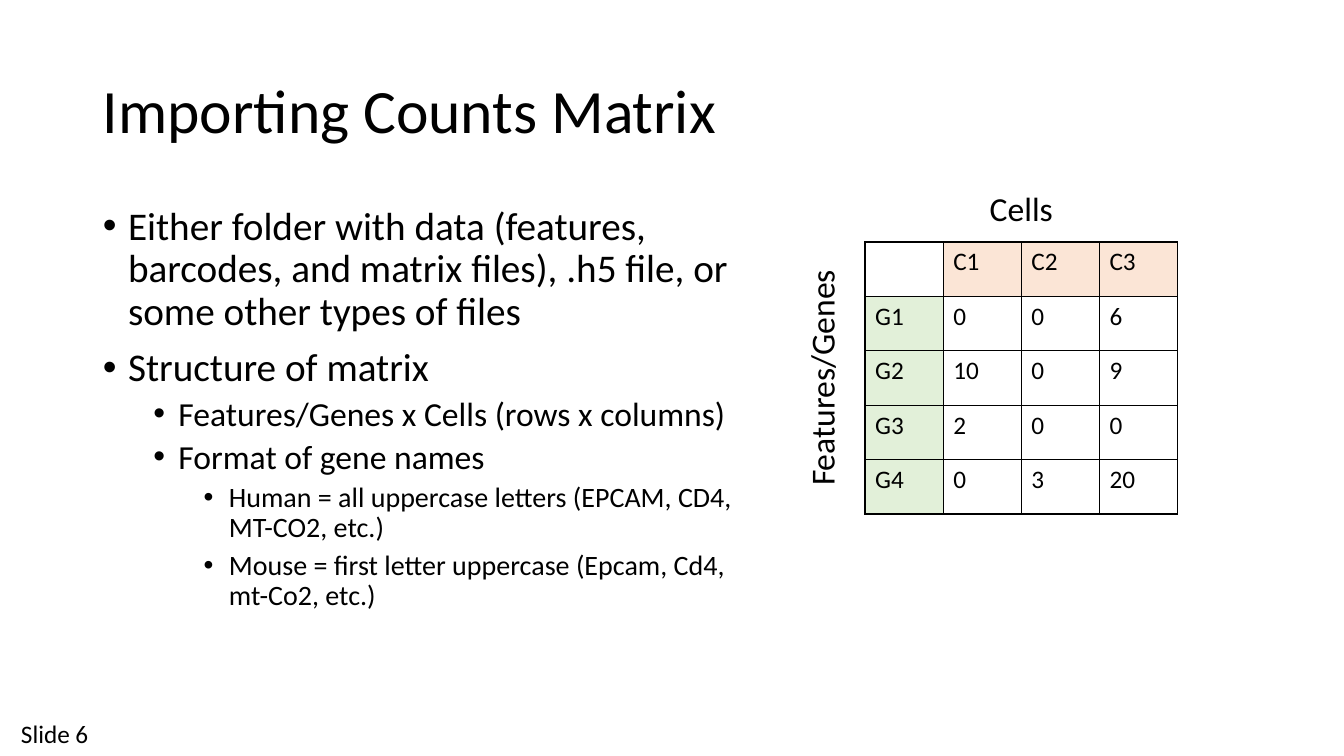
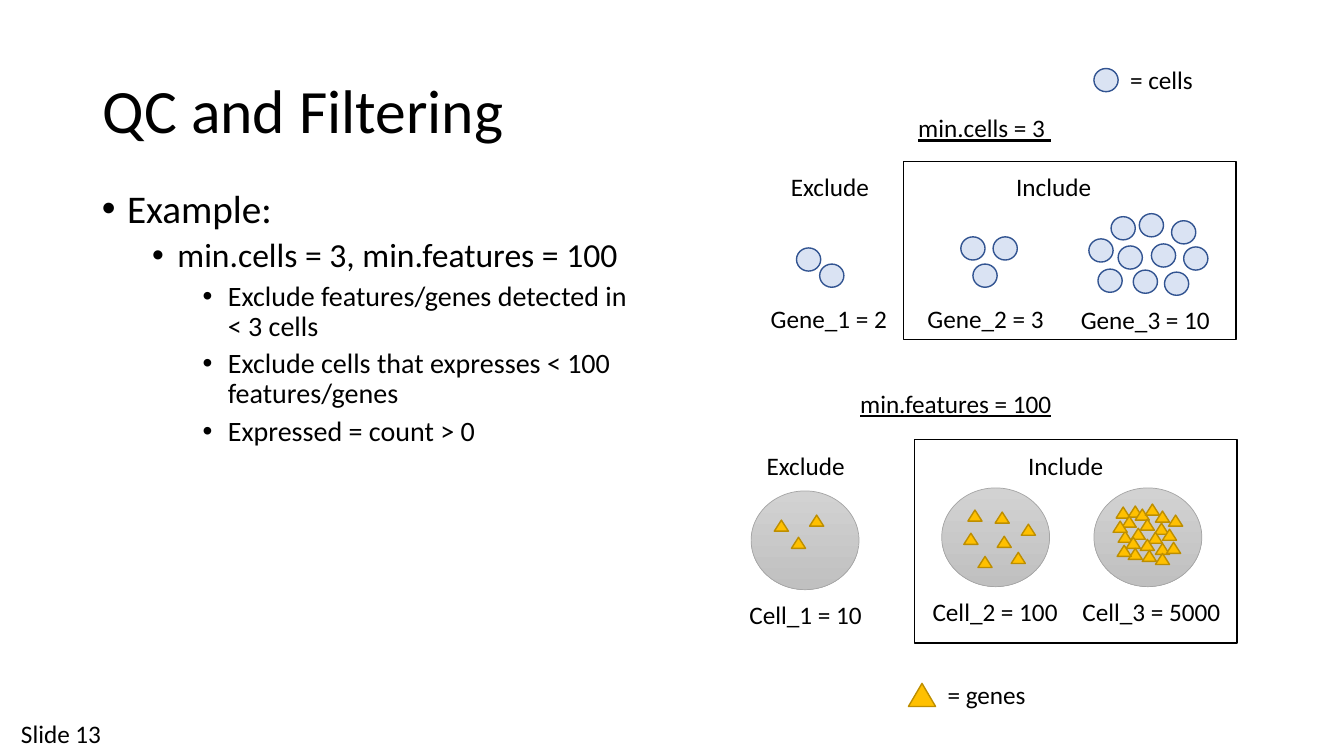
from dataclasses import dataclass

from lxml import etree
from pptx import Presentation
from pptx.dml.color import RGBColor
from pptx.enum.shapes import MSO_SHAPE
from pptx.enum.text import MSO_ANCHOR, MSO_AUTO_SIZE, PP_ALIGN
from pptx.oxml.ns import qn
from pptx.util import Inches, Pt

LEFT, CENTER = PP_ALIGN.LEFT, PP_ALIGN.CENTER
TOP, MIDDLE = MSO_ANCHOR.TOP, MSO_ANCHOR.MIDDLE
NO_AUTOFIT = MSO_AUTO_SIZE.NONE
OVAL, TRIANGLE, FRAME = MSO_SHAPE.OVAL, MSO_SHAPE.ISOSCELES_TRIANGLE, MSO_SHAPE.RECTANGLE


@dataclass(frozen=True)
class Theme:
    font: str = "Calibri"
    black: str = "000000"
    white: str = "FFFFFF"
    header_fill: str = "FBE5D6"
    gene_fill: str = "E2F0D9"
    dot_fill: str = "DAE3F3"
    dot_line: str = "325491"
    marker_fill: str = "FFC000"
    marker_line: str = "BD8E00"
    cell_light: str = "D2D2D2"
    cell_dark: str = "C0C0C0"
    cell_line: str = "A5A5A5"
    title_size: int = 44
    level_sizes: tuple = (28, 24, 20)
    axis_size: int = 24
    label_size: int = 18


theme = Theme()


def write(frame, lines, size, align=LEFT, underline=None):
    """Fill a text frame with lines in the theme font and return its paragraphs."""
    frame.text = "\n".join(lines)
    for paragraph in frame.paragraphs:
        paragraph.alignment = align
        look = {"name": theme.font, "size": Pt(size), "underline": underline}
        for run in paragraph.runs:
            for attribute, value in look.items():
                setattr(run.font, attribute, value)
            run.font.color.rgb = RGBColor.from_string(theme.black)
    return frame.paragraphs


def draw(slide, kind, box, fill, line, width=1):
    """Add a preset shape; a fill of None leaves it hollow."""
    shape = slide.shapes.add_shape(kind, *map(Inches, box))
    shape.shadow.inherit = False
    if fill is None:
        shape.fill.background()
    else:
        shape.fill.solid()
        shape.fill.fore_color.rgb = RGBColor.from_string(fill)
    shape.line.color.rgb = RGBColor.from_string(line)
    shape.line.width = Pt(width)
    return shape


prs = Presentation()
prs.slide_width, prs.slide_height = Inches(13.33), Inches(7.5)

# Title, bullets and slide label
pages = [
    ("Importing Counts Matrix", "Slide 6", (0.92, 2, 6.78, 4.76), [
        (0, "Either folder with data (features, barcodes, and matrix files), "
            ".h5 file, or some other types of files"),
        (0, "Structure of matrix"),
        (1, "Features/Genes x Cells (rows x columns)"),
        (1, "Format of gene names"),
        (2, "Human = all uppercase letters (EPCAM, CD4, MT-CO2, etc.)"),
        (2, "Mouse = first letter uppercase (Epcam, Cd4, mt-Co2, etc.)"),
    ]),
    ("QC and Filtering", "Slide 13", (0.91, 1.83, 5.47, 4.76), [
        (0, "Example:"),
        (1, "min.cells = 3, min.features = 100"),
        (2, "Exclude features/genes detected in < 3 cells"),
        (2, "Exclude cells that expresses < 100 features/genes"),
        (2, "Expressed = count > 0"),
    ]),
]
labels = []
for title, slide_label, body_box, bullets in pages:
    slide = prs.slides.add_slide(prs.slide_layouts[1])
    heading, body = slide.placeholders
    for holder, box, anchor in ((heading, (0.92, 0.4, 11.5, 1.45), MIDDLE),
                                (body, body_box, TOP)):
        holder.left, holder.top, holder.width, holder.height = map(Inches, box)
        holder.text_frame.vertical_anchor = anchor
        holder.text_frame.auto_size = NO_AUTOFIT
    write(heading.text_frame, [title], theme.title_size)[0].line_spacing = 0.9
    paragraphs = write(body.text_frame, [text for _, text in bullets], theme.level_sizes[0])
    for paragraph, (level, _) in zip(paragraphs, bullets):
        layout = {"level": level, "line_spacing": 0.9, "space_before": Pt(5 if level else 10)}
        for attribute, value in layout.items():
            setattr(paragraph, attribute, value)
        paragraph.runs[0].font.size = Pt(theme.level_sizes[level])
        properties = paragraph._p.get_or_add_pPr()
        properties.set("marL", str(Inches(0.25 + 0.5 * level)))
        properties.set("indent", str(Inches(-0.25)))
        etree.SubElement(properties, qn("a:buFont")).set("typeface", "Arial")
        etree.SubElement(properties, qn("a:buChar")).set("char", "•")
    labels.append((slide, slide_label, (0.11, 7.08, 1.13, 0.4), theme.label_size, LEFT, None, 0))

matrix_slide, filter_slide = prs.slides

# Counts matrix
counts = [
    ["", "C1", "C2", "C3"],
    ["G1", "0", "0", "6"],
    ["G2", "10", "0", "9"],
    ["G3", "2", "0", "0"],
    ["G4", "0", "3", "20"],
]
matrix = matrix_slide.shapes.add_table(
    len(counts), len(counts[0]), *map(Inches, (8.58, 2.4, 3.1, 2.7))).table
matrix.first_row = matrix.horz_banding = False
for r, row in enumerate(counts):
    for c, count in enumerate(row):
        cell = matrix.cell(r, c)
        write(cell.text_frame, [count], theme.label_size)
        cell_fill = theme.white
        if r == 0 and c > 0:
            cell_fill = theme.header_fill
        elif c == 0 and r > 0:
            cell_fill = theme.gene_fill
        borders = cell._tc.get_or_add_tcPr()
        for side in ("a:lnL", "a:lnR", "a:lnT", "a:lnB"):
            border = etree.SubElement(borders, qn(side), w=str(Pt(1)))
            paint = etree.SubElement(border, qn("a:solidFill"))
            etree.SubElement(paint, qn("a:srgbClr"), val=theme.black)
        cell.fill.solid()
        cell.fill.fore_color.rgb = RGBColor.from_string(cell_fill)

labels += [
    (matrix_slide, "Cells", (9.55, 1.82, 1.16, 0.5), theme.axis_size, CENTER, None, 0),
    (matrix_slide, "Features/Genes", (6.92, 3.5, 2.45, 0.5), theme.axis_size, CENTER, None, 270),
]

# Cells that express each gene, with the legend's dot last
cell_dots = [
    (7.9, 2.46), (8.13, 2.62),
    (9.53, 2.35), (9.65, 2.62), (9.85, 2.35),
    (10.8, 2.37), (10.89, 2.67), (11.09, 2.44), (11.24, 2.68), (11.55, 2.7),
    (11.62, 2.19), (11.02, 2.15), (11.42, 2.42), (11.3, 2.12), (11.74, 2.45),
    (10.85, 0.68),
]
for x, y in cell_dots:
    draw(filter_slide, OVAL, (x, y, 0.24, 0.23), theme.dot_fill, theme.dot_line)

# Genes expressed in each cell
gene_markers = {
    (7.45, 4.87): [(7.68, 5.16), (8.03, 5.11), (7.85, 5.33)],
    (9.34, 4.84): [
        (9.6, 5.06), (9.56, 5.29), (9.87, 5.08), (10.13, 5.2),
        (9.89, 5.32), (9.7, 5.52), (10.03, 5.48),
    ],
    (10.85, 4.84): [
        (11.07, 5.03), (11.19, 5.02), (11.26, 5.05), (11.46, 5.07), (11.36, 5),
        (11.31, 5.15), (11.13, 5.12), (11.45, 5.19), (11.22, 5.24), (11.39, 5.28),
        (11.53, 5.25), (11.09, 5.27), (11.17, 5.33), (11.31, 5.35), (11.46, 5.39),
        (11.33, 5.46), (11.59, 5.11), (11.19, 5.44), (11.57, 5.38), (11.46, 5.49),
        (11.04, 5.17), (11.08, 5.41),
    ],
}
for (cell_x, cell_y), markers in gene_markers.items():
    big_cell = draw(filter_slide, OVAL, (cell_x, cell_y, 1.07, 0.98),
                    theme.cell_light, theme.cell_line, 0.5)
    big_cell.fill.gradient()
    big_cell.fill.gradient_angle = 270
    for stop, shade in zip(big_cell.fill.gradient_stops, (theme.cell_light, theme.cell_dark)):
        stop.color.rgb = RGBColor.from_string(shade)
    for x, y in markers:
        draw(filter_slide, TRIANGLE, (x, y, 0.14, 0.11), theme.marker_fill, theme.marker_line)
draw(filter_slide, TRIANGLE, (9.01, 6.78, 0.27, 0.23), theme.marker_fill, theme.marker_line)

for include_box in ((8.96, 1.6, 3.3, 1.77), (9.07, 4.36, 3.2, 2.02)):
    draw(filter_slide, FRAME, include_box, None, theme.black)

filter_labels = [
    ("min.cells = 3 ", 8.83, 1.07, 1.87, CENTER, True),
    ("Exclude", 7.72, 1.65, 1.02, CENTER, None),
    ("Include", 9.94, 1.65, 1.02, CENTER, None),
    ("Gene_1 = 2", 7.37, 2.96, 1.7, CENTER, None),
    ("Gene_2 = 3", 9.06, 2.96, 1.43, CENTER, None),
    ("Gene_3 = 10", 10.56, 2.97, 1.6, CENTER, None),
    ("min.features = 100", 8.38, 3.8, 2.2, CENTER, True),
    ("Exclude", 7.48, 4.42, 1.02, CENTER, None),
    ("Include", 10.06, 4.42, 1.02, CENTER, None),
    ("Cell_1 = 10", 7.14, 5.9, 1.7, CENTER, None),
    ("Cell_2 = 100", 9.02, 5.87, 1.7, CENTER, None),
    ("Cell_3 = 5000", 10.57, 5.87, 1.7, CENTER, None),
    ("= genes", 9.3, 6.69, 1.64, LEFT, None),
    ("= cells", 11.11, 0.59, 1.64, LEFT, None),
]
labels += [(filter_slide, text, (x, y, width, 0.4), theme.label_size, align, underline, 0)
           for text, x, y, width, align, underline in filter_labels]

for slide, text, box, size, align, underline, rotation in labels:
    label = slide.shapes.add_textbox(*map(Inches, box))
    label.rotation = rotation
    label.text_frame.word_wrap = True
    write(label.text_frame, [text], size, align, underline)

prs.save("out.pptx")
